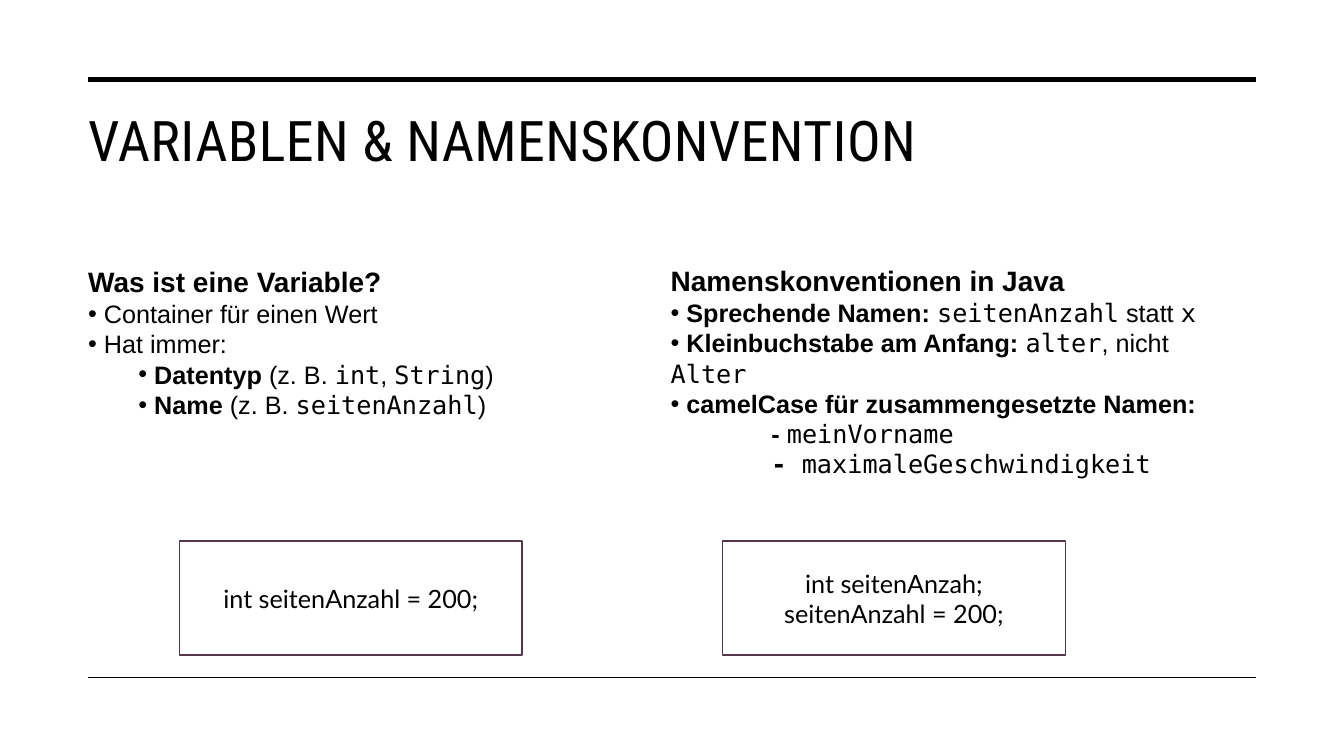
from lxml import etree
from pptx import Presentation
from pptx import util as u
from pptx.dml.color import RGBColor
from pptx.enum import shapes, text
from pptx.oxml.ns import qn

COLOURS = {"ink": "000000", "frame": "55374C"}
STYLES = {
    "heading": {"name": "Arial", "size": u.Pt(20), "bold": True},
    "plain": {"name": "Arial", "size": u.Pt(18), "bold": False},
    "bold": {"name": "Arial", "size": u.Pt(18), "bold": True},
    "code": {"name": "DejaVu Sans Mono", "size": u.Pt(18), "bold": False},
    "code bold": {"name": "DejaVu Sans Mono", "size": u.Pt(18), "bold": True},
    "title": {"name": "Roboto Condensed", "size": u.Pt(40), "bold": False},
    "snippet": {"name": "Lato", "size": u.Pt(18), "bold": False},
}
VARIABLE = [
    ("heading", 0, [("Was ist eine Variable?", "heading")]),
    ("bullet", 0, [(" Container für einen Wert", "plain")]),
    ("bullet", 0, [(" Hat immer:", "plain")]),
    ("bullet", 36, [(" Datentyp", "bold"), (" (z. B. ", "plain"), ("int", "code"),
                    (", ", "plain"), ("String", "code"), (")", "plain")]),
    ("bullet", 36, [(" Name", "bold"), (" (z. B. ", "plain"),
                    ("seitenAnzahl", "code"), (")", "plain")]),
]
CONVENTIONS = [
    ("heading", 0, [("Namenskonventionen in Java", "heading")]),
    ("bullet", 0, [(" ", "plain"), ("Sprechende Namen: ", "bold"), ("seitenAnzahl", "code"),
                   (" statt ", "plain"), ("x", "code")]),
    ("bullet", 0, [(" ", "plain"), ("Kleinbuchstabe am Anfang: ", "bold"), ("alter", "code"),
                   (", nicht ", "plain"), ("Alter", "code")]),
    ("bullet", 0, [(" ", "plain"), ("camelCase für zusammengesetzte Namen:", "bold")]),
    ("dash", 72, [("- ", "bold"), ("meinVorname", "code")]),
    ("dash", 72, [("- ", "code bold"), ("maximaleGeschwindigkeit", "code")]),
]


def add_run(paragraph, wording, style):
    """Append a run in one of the named styles."""
    run = paragraph.add_run()
    run.text = wording
    for attribute, value in STYLES[style].items():
        setattr(run.font, attribute, value)
    run.font.color.rgb = RGBColor.from_string(COLOURS["ink"])
    return run


def add_rule(slide, left, top, width, weight):
    """Draw a horizontal rule."""
    rule = slide.shapes.add_connector(
        shapes.MSO_CONNECTOR.STRAIGHT, u.Pt(left), u.Pt(top), u.Pt(left + width), u.Pt(top))
    rule.line.color.rgb = RGBColor.from_string(COLOURS["ink"])
    rule.line.width = u.Pt(weight)
    etree.SubElement(rule._element.spPr, qn("a:effectLst"))


def add_text_frame(slide, left, top, width, height):
    """Add a wrapping text box and return its text frame."""
    box = slide.shapes.add_textbox(u.Pt(left), u.Pt(top), u.Pt(width), u.Pt(height))
    box.text_frame.word_wrap = True
    return box.text_frame


def add_title(slide, left, top, width, height, wording):
    """Place the slide title."""
    frame = add_text_frame(slide, left, top, width, height)
    run = add_run(frame.paragraphs[0], wording, "title")
    run.font._element.set("spc", "30")


def add_column(slide, left, top, width, height, rows):
    """Place a heading with its bulleted and dashed rows."""
    frame = add_text_frame(slide, left, top, width, height)
    for index, (kind, indent, runs) in enumerate(rows):
        paragraph = frame.add_paragraph() if index else frame.paragraphs[0]
        paragraph.line_spacing = u.Pt(24 if kind == "heading" else 21.6)
        properties = paragraph._p.get_or_add_pPr()
        properties.set("marL", str(u.Pt(indent)))
        properties.set("indent", "0")
        if kind == "bullet":
            etree.SubElement(properties, qn("a:buFont"), typeface="Arial")
            etree.SubElement(properties, qn("a:buChar"), char="•")
        for wording, style in runs:
            add_run(paragraph, wording, style)


def add_snippet(slide, left, top, width, height, lines):
    """Place a framed box with centred lines of code."""
    box = slide.shapes.add_shape(
        shapes.MSO_SHAPE.RECTANGLE, u.Pt(left), u.Pt(top), u.Pt(width), u.Pt(height))
    box.shadow.inherit = False
    box.fill.background()
    box.line.color.rgb = RGBColor.from_string(COLOURS["frame"])
    box.line.width = u.Pt(1)
    frame = box.text_frame
    frame.word_wrap = True
    frame.vertical_anchor = text.MSO_ANCHOR.MIDDLE
    for index, line in enumerate(lines):
        paragraph = frame.add_paragraph() if index else frame.paragraphs[0]
        paragraph.alignment = text.PP_ALIGN.CENTER
        add_run(paragraph, line, "snippet")


def build_comparison(slide, left, top, width, height):
    """Lay out title, two columns and two snippets between two rules."""
    text_left = left - 7.2
    add_rule(slide, left, top, width, 3.5)
    add_rule(slide, left, top + height, width, 1)
    add_title(slide, text_left, top + 15.1, width + 7.2, 103, "VARIABLEN & NAMENSKONVENTION")
    add_column(slide, text_left, top + 128.8, 327.6, 140.4, VARIABLE)
    add_column(slide, text_left + 416.2, top + 128.1, 415.4, 140.4, CONVENTIONS)
    snippets = [["int seitenAnzahl = 200;"], ["int seitenAnzah;", "seitenAnzahl = 200;"]]
    for index, lines in enumerate(snippets):
        add_snippet(slide, left + 65.2 + index * 388, top + height - 97.2, 244.8, 81.4, lines)


def main():
    """Build and save the presentation."""
    presentation = Presentation()
    presentation.slide_width = u.Pt(960)
    presentation.slide_height = u.Pt(540)
    slide = presentation.slides.add_slide(presentation.slide_layouts[6])
    build_comparison(slide, 63, 56.9, 834, 426.9)
    presentation.save("out.pptx")


if __name__ == "__main__":
    main()
